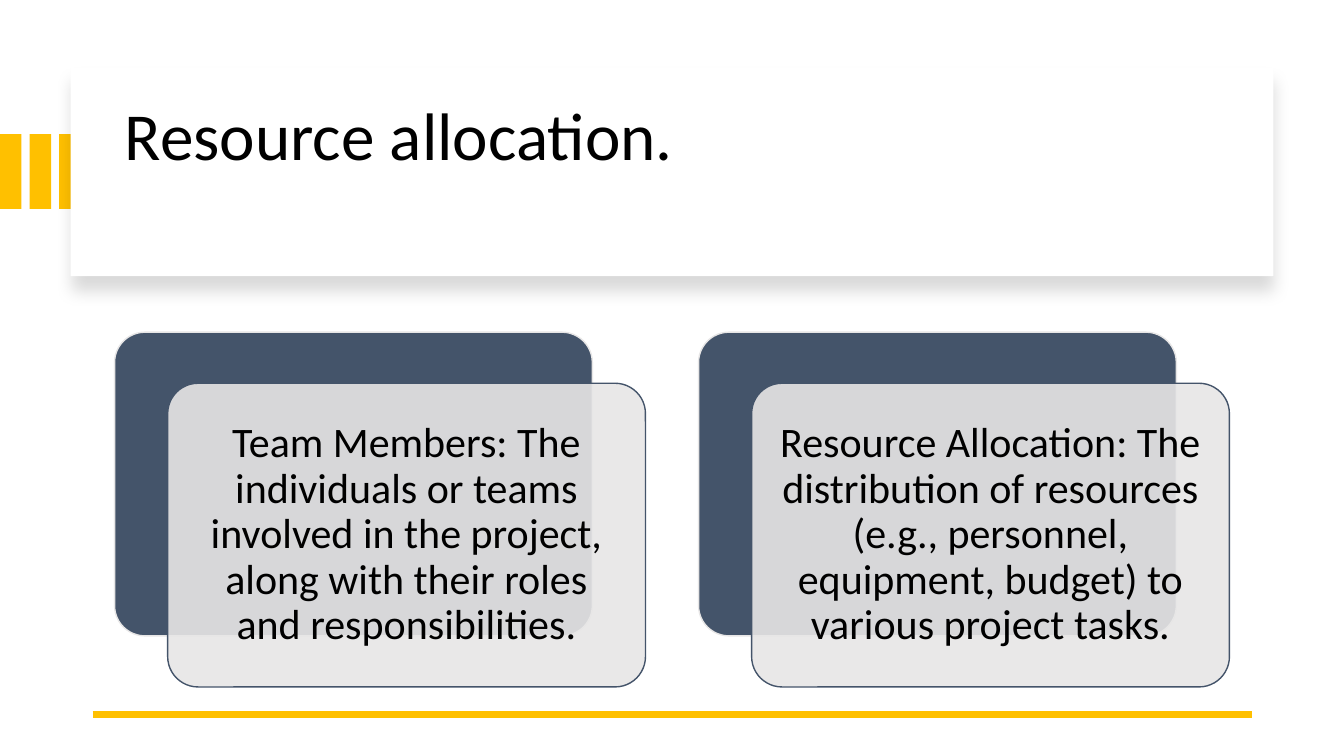
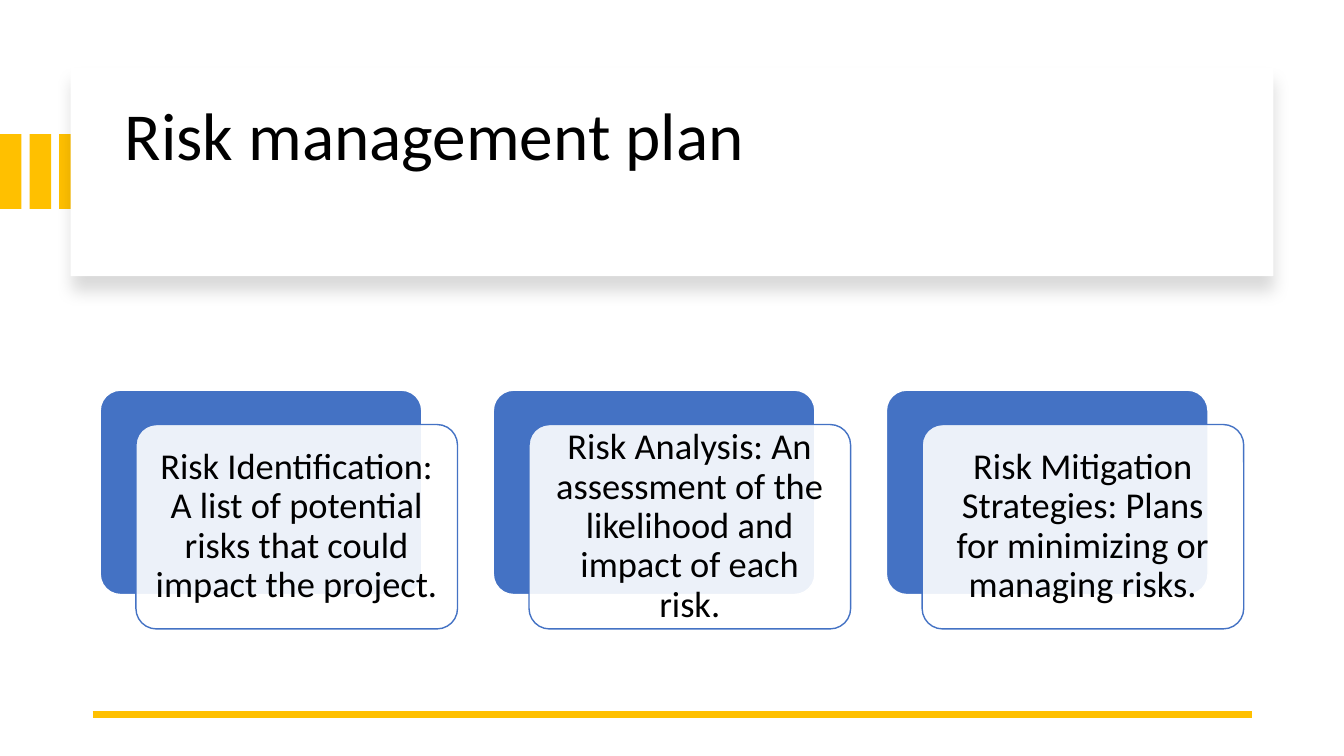
from lxml import etree
from pptx import Presentation
from pptx.dml.color import RGBColor
from pptx.enum.shapes import MSO_CONNECTOR, MSO_SHAPE
from pptx.enum.text import MSO_ANCHOR, PP_ALIGN
from pptx.oxml import parse_xml
from pptx.oxml.ns import nsdecls, qn
from pptx.util import Inches, Pt

RECTANGLE = MSO_SHAPE.RECTANGLE
ROUNDED = MSO_SHAPE.ROUNDED_RECTANGLE
STRAIGHT = MSO_CONNECTOR.STRAIGHT
MIDDLE = MSO_ANCHOR.MIDDLE
LEFT, CENTER = PP_ALIGN.LEFT, PP_ALIGN.CENTER

FONT = "Calibri"
BLACK, WHITE, GOLD = "000000", "FFFFFF", "FFC000"
SLATE, PALE_GREY, BLUE = "44546A", "E7E6E6", "4472C4"
color = RGBColor.from_string

prs = Presentation()
prs.slide_width, prs.slide_height = Inches(13.33), Inches(7.5)
BLANK = prs.slide_layouts[6]

# The slide is a grid of 100 columns and 100 rows
COL, ROW = prs.slide_width / 100, prs.slide_height / 100

# Card proportions: rows or columns per column of card width
CARD_HEIGHT = 1.13
SHIFT_X, SHIFT_Y = 1 / 9, 0.19
PITCH = 1 + 2 * SHIFT_X
CARDS_MIDDLE = 67.4

BAND_SHADOW = (
    f'<a:outerShdw {nsdecls("a")} blurRad="{Pt(11)}" dist="{Pt(10)}" dir="5400000" '
    f'algn="t" rotWithShape="0"><a:srgbClr val="{BLACK}"><a:alpha val="15000"/>'
    '</a:srgbClr></a:outerShdw>'
)

SLIDES = [
    {
        "title": "Resource allocation.",
        "card_width": 35.55, "text_size": 30, "inset": 0.12,
        "back": SLATE, "front": PALE_GREY,
        "cards": [
            "Team Members: The individuals or teams involved in the project, "
            "along with their roles and responsibilities.",
            "Resource Allocation: The distribution of resources "
            "(e.g., personnel, equipment, budget) to various project tasks.",
        ],
    },
    {
        "title": "Risk management plan",
        "card_width": 23.93, "text_size": 26, "inset": 0.11,
        "back": BLUE, "front": WHITE,
        "cards": [
            "Risk Identification: A list of potential risks that could "
            "impact the project.",
            "Risk Analysis: An assessment of the likelihood and impact of "
            "each risk.",
            "Risk Mitigation Strategies: Plans for minimizing or managing "
            "risks.",
        ],
    },
]


def add_panel(slide, kind, left, top, width, height, fill, outline=None):
    """Add a filled shape, placed in grid columns and rows."""
    panel = slide.shapes.add_shape(
        kind, int(left * COL), int(top * ROW), int(width * COL), int(height * ROW))
    panel.shadow.inherit = False
    panel.fill.solid()
    panel.fill.fore_color.rgb = color(fill)
    if outline:
        panel.line.color.rgb = color(outline)
        panel.line.width = Pt(1)
        panel.adjustments[0] = 0.1
    else:
        panel.line.fill.background()
    return panel


def write(holder, text, size, align):
    frame = holder.text_frame
    frame.word_wrap = True
    frame.vertical_anchor = MIDDLE
    paragraph = frame.paragraphs[0]
    paragraph.text = text
    paragraph.alignment = align
    paragraph.line_spacing = 0.9
    paragraph.font.name = FONT
    paragraph.font.size = Pt(size)
    paragraph.font.color.rgb = color(BLACK)
    return frame


for content in SLIDES:
    slide = prs.slides.add_slide(BLANK)

    for stripe in range(3):
        add_panel(slide, RECTANGLE, stripe * 2.2, 17.75, 1.6, 9.9, GOLD)

    band = add_panel(slide, RECTANGLE, 5.25, 8.95, 89.5, 27.6, WHITE)
    band._element.spPr.find(qn("a:effectLst")).append(parse_xml(BAND_SHADOW))

    title = slide.shapes.add_textbox(
        int(8.55 * COL), int(11.9 * ROW), int(83.5 * COL), int(12.9 * ROW))
    write(title, content["title"], 48, LEFT)

    rule = slide.shapes.add_connector(
        STRAIGHT, int(6.9 * COL), int(94.5 * ROW), int(93.15 * COL), int(94.5 * ROW))
    rule.line.color.rgb = color(GOLD)
    rule.line.width = Pt(4.5)
    etree.SubElement(rule._element.spPr, qn("a:effectLst"))

    width = content["card_width"]
    height = width * CARD_HEIGHT
    row_width = width * (PITCH * (len(content["cards"]) - 1) + 1 + SHIFT_X)
    first_left = (100 - row_width) / 2
    top = CARDS_MIDDLE - (height + width * SHIFT_Y) / 2
    back, front = content["back"], content["front"]

    for index, text in enumerate(content["cards"]):
        left = first_left + index * width * PITCH
        add_panel(slide, ROUNDED, left, top, width, height, back, front)
        card = add_panel(slide, ROUNDED, left + width * SHIFT_X, top + width * SHIFT_Y,
                         width, height, front, back)
        fill_color = card._element.spPr.find(qn("a:solidFill"))[0]
        etree.SubElement(fill_color, qn("a:alpha"), val="90000")
        frame = write(card, text, content["text_size"], CENTER)
        frame.margin_left = frame.margin_right = Inches(content["inset"])
        frame.margin_top = frame.margin_bottom = Inches(content["inset"])

prs.save("out.pptx")
